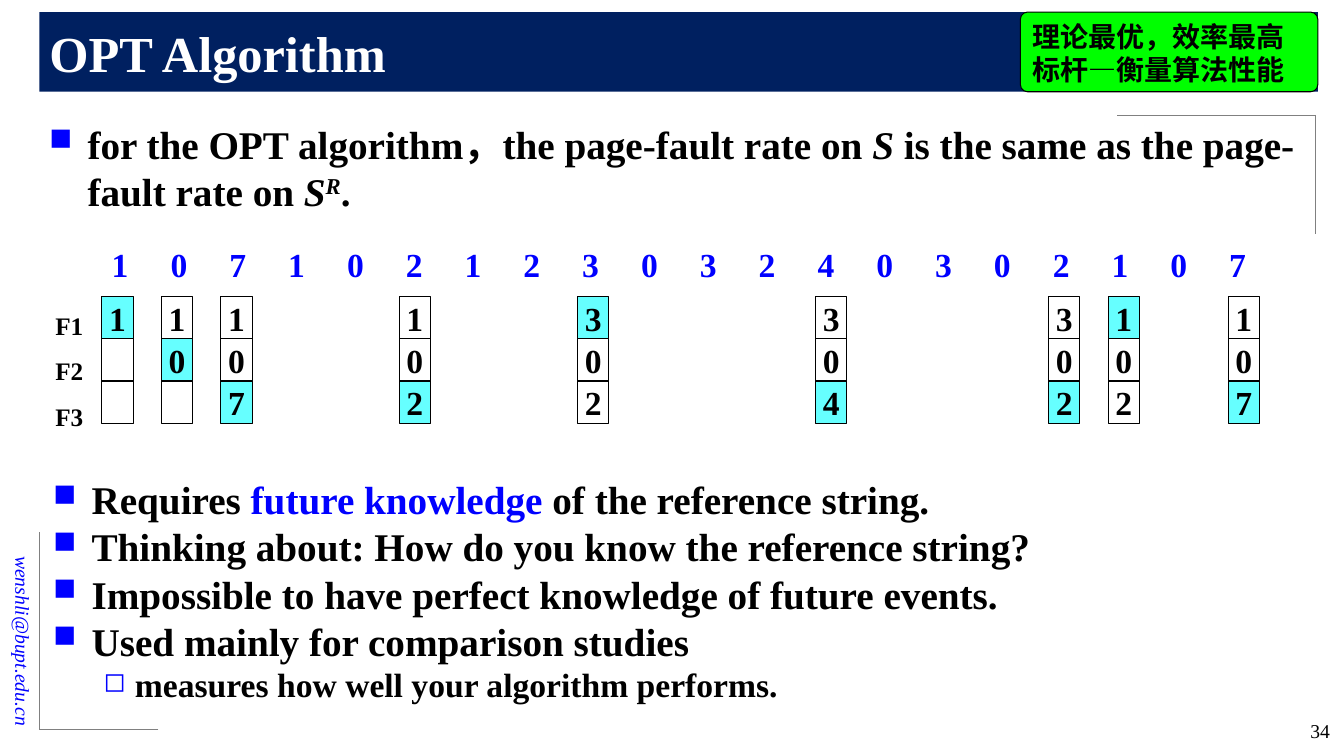
from lxml import etree
from pptx import Presentation
from pptx import util as u
from pptx.dml.color import RGBColor
from pptx.enum import shapes, text
from pptx.oxml import ns

NAVY = RGBColor(0x00, 0x20, 0x60)
BLUE = RGBColor(0x00, 0x00, 0xFF)
CYAN = RGBColor(0x66, 0xFF, 0xFF)
GREEN = RGBColor(0x00, 0xFF, 0x00)
GRAY = RGBColor(0x80, 0x80, 0x80)
BLACK = RGBColor(0x00, 0x00, 0x00)
WHITE = RGBColor(0xFF, 0xFF, 0xFF)
SERIF = "Times New Roman"
CJK = "Noto Sans CJK SC"

REFERENCES = "10710212303240302107"
FRAME_STATES = [
    (1.01, "1", 0), (1.60, "10", 1), (2.19, "107", 2),
    (3.96, "102", 2), (5.73, "302", 0), (8.09, "304", 2),
    (10.40, "302", 2), (10.99, "102", 0), (12.18, "107", 2),
]
REMARKS = [
    [("Requires ", {}), ("future knowledge ", {"color": BLUE}),
     ("of the reference string.", {})],
    [("Thinking about: How do you know the reference string?", {})],
    [("Impossible to have perfect knowledge of future events.", {})],
    [("Used mainly for comparison studies", {})],
]


class LectureSlide:
    """Draws styled elements on one title-only slide."""

    def __init__(self, deck):
        self.slide = deck.slides.add_slide(deck.slide_layouts[5])
        self.shapes = self.slide.shapes

    def run(self, para, words, size, color=BLACK, bold=True, italic=False,
            latin=SERIF, raised=False):
        run = para.add_run()
        run.text = words
        font = run.font
        font.size, font.bold, font.italic = u.Pt(size), bold, italic
        font.name = latin
        font.color.rgb = color
        props = font._element
        etree.SubElement(props, ns.qn("a:ea")).set("typeface", CJK)
        if raised:
            props.set("baseline", "30000")

    def bullet(self, para, mark="■", margin=0.38, hanging=0.38):
        props = para._p.get_or_add_pPr()
        props.set("marL", str(u.Inches(margin)))
        props.set("indent", str(-u.Inches(hanging)))
        color = etree.SubElement(props, ns.qn("a:buClr"))
        etree.SubElement(color, ns.qn("a:srgbClr")).set("val", str(BLUE))
        etree.SubElement(props, ns.qn("a:buSzPct")).set("val", "80000")
        etree.SubElement(props, ns.qn("a:buChar")).set("char", mark)

    def tabs(self, para, pitch, count):
        stops = etree.SubElement(para._p.get_or_add_pPr(), ns.qn("a:tabLst"))
        for i in range(1, count):
            stop = etree.SubElement(stops, ns.qn("a:tab"))
            stop.set("pos", str(u.Pt(pitch * i)))
            stop.set("algn", "l")

    def title(self, words, *box):
        title = self.shapes.title
        self.place(title, box)
        title.fill.solid()
        title.fill.fore_color.rgb = NAVY
        frame = title.text_frame
        frame.vertical_anchor = text.MSO_ANCHOR.MIDDLE
        para = frame.paragraphs[0]
        para.alignment = text.PP_ALIGN.LEFT
        self.run(para, words, 36, WHITE)

    def place(self, item, box):
        item.left, item.top, item.width, item.height = map(u.Inches, box)

    def textbox(self, *box, wrap=True):
        item = self.shapes.add_textbox(*map(u.Inches, box))
        item.text_frame.word_wrap = wrap
        return item

    def panel(self, kind, *box, fill=None):
        item = self.shapes.add_shape(kind, *map(u.Inches, box))
        item.shadow.inherit = False
        if fill is None:
            item.fill.background()
        else:
            item.fill.solid()
            item.fill.fore_color.rgb = fill
        item.line.color.rgb = BLACK
        item.line.width = u.Pt(0.75)
        return item

    def line(self, *ends):
        line = self.shapes.add_connector(
            shapes.MSO_CONNECTOR.STRAIGHT, *map(u.Inches, ends))
        line.line.color.rgb = GRAY
        line.line.width = u.Pt(0.5)
        etree.SubElement(line._element.spPr, ns.qn("a:effectLst"))

    def frames(self, left, pages, loaded):
        for row in range(3):
            cell = self.panel(shapes.MSO_SHAPE.RECTANGLE, left, 2.94 + 0.42 * row,
                              0.31, 0.42, fill=CYAN if row == loaded else None)
            if row < len(pages):
                frame = cell.text_frame
                frame.word_wrap = False
                frame.vertical_anchor = text.MSO_ANCHOR.MIDDLE
                frame.paragraphs[0].alignment = text.PP_ALIGN.CENTER
                self.run(frame.paragraphs[0], pages[row], 24)


def paragraphs(frame, count):
    return [frame.paragraphs[0]] + [frame.add_paragraph() for _ in range(count - 1)]


def main():
    deck = Presentation()
    deck.slide_width, deck.slide_height = u.Inches(13.33), u.Inches(7.5)
    page = LectureSlide(deck)

    page.title("OPT Algorithm", 0.39, 0.12, 12.68, 0.79)
    for ends in [(0.39, 5.28, 0.39, 7.24), (1.57, 7.24, 0.39, 7.24),
                 (13.05, 1.14, 13.05, 2.32), (13.05, 1.14, 11.08, 1.14)]:
        page.line(*ends)

    author = page.textbox(-1.09, 5.81, 2.64, 0.34)
    author.rotation = 90
    author.text_frame.vertical_anchor = text.MSO_ANCHOR.MIDDLE
    email = author.text_frame.paragraphs[0]
    email.alignment = text.PP_ALIGN.RIGHT
    page.run(email, "wenshli@bupt.edu.cn", 14, BLUE, bold=False, italic=True)

    claim = page.textbox(0.39, 1.14, 12.64, 6.1).text_frame.paragraphs[0]
    page.bullet(claim)
    page.run(claim, "for the OPT algorithm，the page-fault rate on ", 28)
    page.run(claim, "S ", 28, italic=True)
    page.run(claim, "is the same as the page-fault rate on ", 28)
    page.run(claim, "S", 28, italic=True)
    page.run(claim, "R", 28, italic=True, raised=True)
    page.run(claim, ".", 28)

    number = page.textbox(12.18, 7.08, 1.11, 0.36).text_frame.paragraphs[0]
    number.alignment = text.PP_ALIGN.RIGHT
    page.run(number, "34", 14, bold=False)

    references = page.textbox(1.01, 2.37, 11.88, 0.58).text_frame.paragraphs[0]
    page.tabs(references, 42, len(REFERENCES))
    page.run(references, "\t".join(REFERENCES), 24, BLUE)

    for state in FRAME_STATES:
        page.frames(*state)

    remarks = page.textbox(0.43, 4.67, 12.47, 2.58).text_frame
    *points, detail = paragraphs(remarks, len(REMARKS) + 1)
    for point, pieces in zip(points, REMARKS):
        page.bullet(point)
        for words, style in pieces:
            page.run(point, words, 28, **style)
    detail.level = 1
    page.bullet(detail, "◻", 0.81, 0.31)
    page.run(detail, "measures how well your algorithm performs.", 24)

    verdict = page.panel(shapes.MSO_SHAPE.ROUNDED_RECTANGLE,
                         10.12, 0.12, 2.95, 0.79, fill=GREEN)
    verdict.adjustments[0] = 0.09
    verdict.text_frame.vertical_anchor = text.MSO_ANCHOR.TOP
    verdict_lines = ["理论最优，效率最高", "标杆—衡量算法性能"]
    for para, words in zip(paragraphs(verdict.text_frame, 2), verdict_lines):
        para.alignment = text.PP_ALIGN.LEFT
        page.run(para, words, 20, latin=CJK)

    labels = page.textbox(0.45, 2.88, 0.48, 1.41, wrap=False).text_frame
    for i, para in enumerate(paragraphs(labels, 3), 1):
        para.line_spacing = 1.5
        page.run(para, f"F{i}", 18)

    deck.save("out.pptx")


if __name__ == "__main__":
    main()
